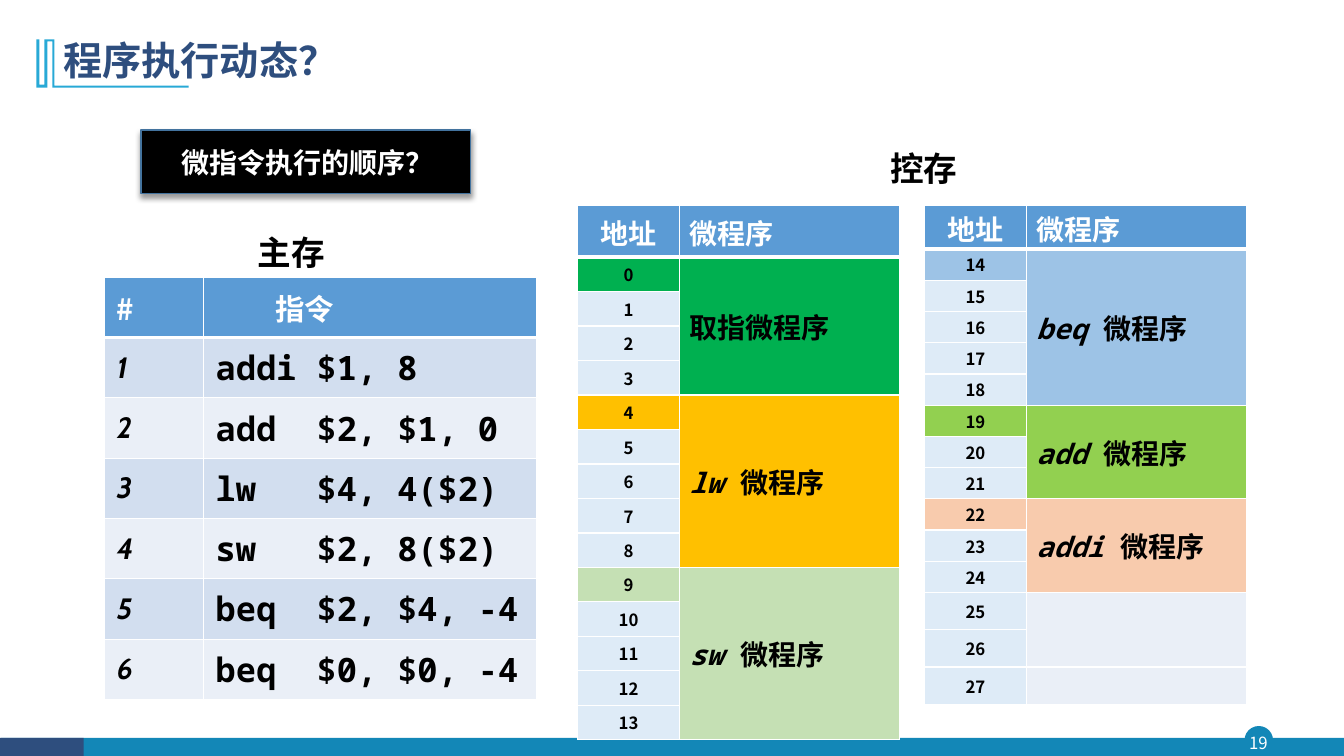
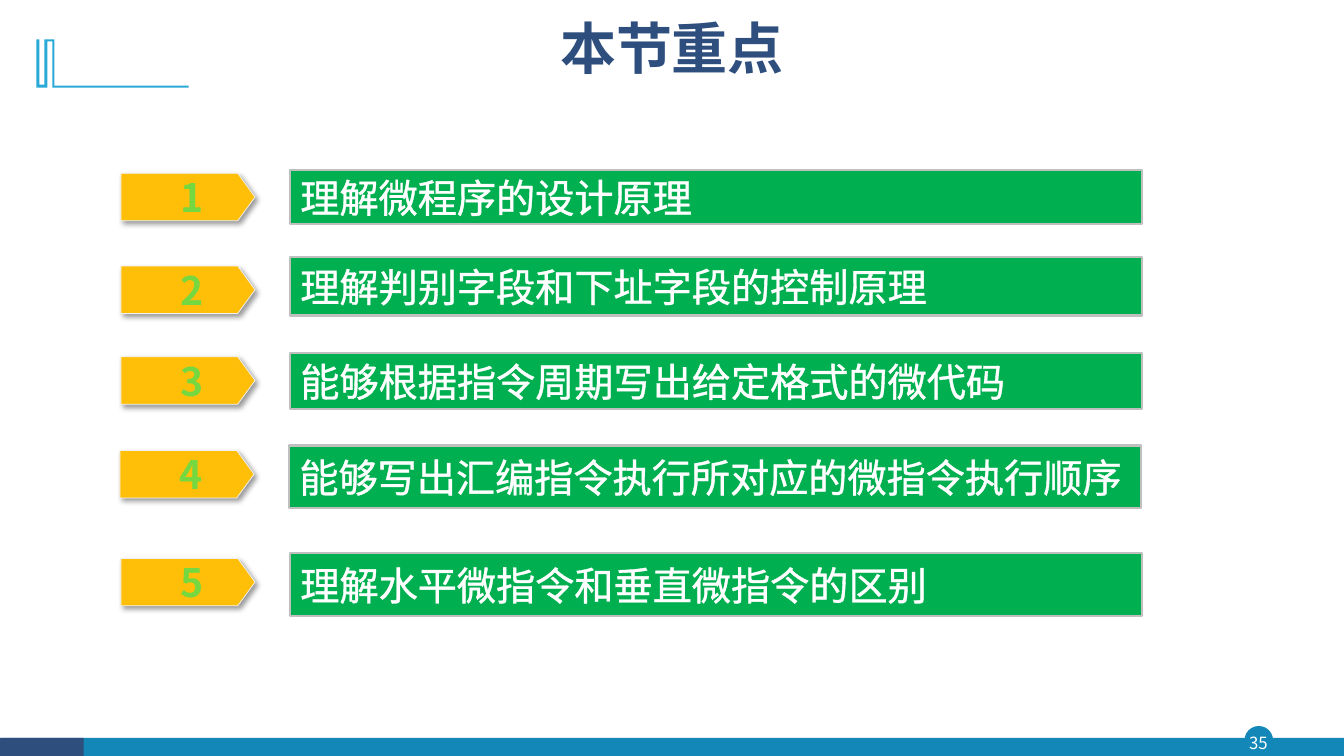
from lxml import etree
from pptx import Presentation
from pptx.dml.color import RGBColor
from pptx.enum import shapes, text
from pptx.oxml import ns, parse_xml
from pptx.util import Inches, Pt


class Theme:
    navy, teal, cyan = "2E4E7E", "1387B7", "28A9D6"
    white, black = "FFFFFF", "000000"
    header, address = "5B9BD5", "DEEBF7"
    bands = ("D2DEEF", "EAEFF7")
    green, amber, pill_edge, bar_edge = "00B050", "FFBF09", "F2F2F2", "BFBFBF"
    callout_edge = "43739E"
    number_stops = ((0, "336F0A"), (78, "75D840"), (100, "F2FBEE"))
    sans, mono, digits = "Noto Sans CJK SC", "Noto Sans Mono", "Cabin"
    small, body, index, label, title, big_title = 12, 20, 21, 24, 28, 40


INSTRUCTIONS = [
    "addi $1, 8",
    "add  $2, $1, 0",
    "lw   $4, 4($2)",
    "sw   $2, 8($2)",
    "beq  $2, $4, -4",
    "beq  $0, $0, -4",
]

# Each block: mnemonic, caption, number of addresses, colour
LEFT_STORE = dict(
    left=5.73, first=0, header=0.51, rows=[(5.3 - 0.51) / 14] * 14,
    blocks=[
        ("", "取指微程序", 4, "00B050"),
        ("lw ", "微程序", 5, "FFC000"),
        ("sw ", "微程序", 5, "C5E0B4"),
    ])
RIGHT_STORE = dict(
    left=9.17, first=14, header=0.43, rows=[0.31] * 11 + [0.37] * 3,
    blocks=[
        ("beq ", "微程序", 5, "9DC3E6"),
        ("add ", "微程序", 3, "92D050"),
        ("addi ", "微程序", 3, "F8CBAD"),
        ("", "", 2, None),
        ("", "", 1, None),
    ])

# Each key point: text, pill left and top, bar left, top and height
KEY_POINTS = [
    ("理解微程序的设计原理", 1.2, 1.72, 2.88, 1.69, 0.53),
    ("理解判别字段和下址字段的控制原理", 1.2, 2.64, 2.88, 2.55, 0.58),
    ("能够根据指令周期写出给定格式的微代码", 1.2, 3.54, 2.88, 3.5, 0.56),
    ("能够写出汇编指令执行所对应的微指令执行顺序", 1.19, 4.47, 2.87, 4.42, 0.62),
    ("理解水平微指令和垂直微指令的区别", 1.2, 5.54, 2.88, 5.49, 0.62),
]

ACCENT = [
    (0.54, 0.39), (0.54, 0.85), (1.87, 0.85), (1.87, 0.87), (0.52, 0.87),
    (0.52, 0.41), (0.47, 0.41), (0.47, 0.87), (0.36, 0.87), (0.36, 0.39),
    (0.39, 0.39), (0.39, 0.84), (0.44, 0.84), (0.44, 0.39),
]

ALIGN = {"left": text.PP_ALIGN.LEFT, "center": text.PP_ALIGN.CENTER}
ANCHOR = {"top": text.MSO_ANCHOR.TOP, "middle": text.MSO_ANCHOR.MIDDLE}


def rgb(value):
    return RGBColor.from_string(value)


def xml(tag, body):
    return parse_xml(f"<a:{tag} {ns.nsdecls('a')}{body}")


def solid(value):
    return f'<a:solidFill><a:srgbClr val="{value}"/></a:solidFill>'


def write(frame, words, size=Theme.body, color=Theme.black, font=Theme.sans,
          bold=False, italic=False, align="left", spacing=None):
    """Append a formatted run to the first paragraph of a text frame."""
    para = frame.paragraphs[0]
    para.alignment = ALIGN[align]
    if spacing:
        para.line_spacing = spacing
    span = para.add_run()
    span.text = words
    span.font.size = Pt(size)
    span.font.bold, span.font.italic = bold, italic
    if color:
        span.font.fill.solid()
        span.font.fill.fore_color.rgb = rgb(color)
    span.font.name = font
    etree.SubElement(span.font._element, ns.qn("a:ea")).set("typeface", font)
    return span


def set_insets(holder, left=0.1, top=0.05, right=0.1, bottom=0.05):
    holder.margin_left, holder.margin_top = Inches(left), Inches(top)
    holder.margin_right, holder.margin_bottom = Inches(right), Inches(bottom)


def add_label(page, words, at, anchor="top", wrap=True, **style):
    box = page.shapes.add_textbox(*map(Inches, at))
    frame = box.text_frame
    frame.word_wrap = wrap
    frame.vertical_anchor = ANCHOR[anchor]
    write(frame, words, **style)
    return box


def paint(shape, fill, line=None, width=1):
    shape.shadow.inherit = False
    shape.fill.solid()
    shape.fill.fore_color.rgb = rgb(fill)
    if line:
        shape.line.color.rgb = rgb(line)
        shape.line.width = Pt(width)
    else:
        shape.line.fill.background()
    return shape


def add_panel(page, kind, at, fill, line=None, width=1):
    shape = page.shapes.add_shape(kind, *map(Inches, at))
    return paint(shape, fill, line, width)


def cast_shadow(shape, angle):
    effects = shape._element.spPr.find(ns.qn("a:effectLst"))
    effects.append(xml(
        "outerShdw",
        f' blurRad="{Pt(4)}" dist="{Pt(3)}" dir="{angle * 60000}" algn="tl"'
        f' rotWithShape="0"><a:srgbClr val="{Theme.black}">'
        '<a:alpha val="40000"/></a:srgbClr></a:outerShdw>'))


def add_page(deck, number, title, at, size, align):
    page = deck.slides.add_slide(deck.slide_layouts[6])
    kinds = shapes.MSO_SHAPE
    add_panel(page, kinds.OVAL, (12.35, 7.21, 0.27, 0.27), Theme.teal, Theme.teal)
    add_panel(page, kinds.RECTANGLE, (0.01, 7.32, 13.32, 0.19), Theme.teal)
    add_panel(page, kinds.RECTANGLE, (0, 7.32, 0.83, 0.19), Theme.navy)
    badge = add_label(page, str(number), (12.32, 7.21, 0.32, 0.31), "middle",
                      size=Theme.small, color=Theme.white, align="center")
    set_insets(badge.text_frame, 0, 0, 0, 0)
    points = [(Inches(x), Inches(y)) for x, y in ACCENT]
    outline = page.shapes.build_freeform(*points[0])
    outline.add_line_segments(points[1:], close=True)
    paint(outline.convert_to_shape(), Theme.cyan)
    add_label(page, title, at, "middle", size=size, color=Theme.navy,
              bold=True, align=align, spacing=0.9)
    return page


def add_grid(page, left, top, widths, heights):
    size = (left, top, sum(widths), sum(heights))
    table = page.shapes.add_table(
        len(heights), len(widths), *map(Inches, size)).table
    table.first_row = table.horz_banding = False
    for column, width in zip(table.columns, widths):
        column.width = Inches(width)
    for row, height in zip(table.rows, heights):
        row.height = Inches(height)
    return table


def style_cell(cell, fill, heavy_bottom=False, anchor="middle"):
    """Give a cell white borders, then its fill."""
    properties = cell._tc.get_or_add_tcPr()
    for side in "LRTB":
        width = Pt(3 if heavy_bottom and side == "B" else 1)
        properties.append(xml(
            f"ln{side}", f' w="{width}">{solid(Theme.white)}</a:ln{side}>'))
    cell.fill.solid()
    cell.fill.fore_color.rgb = rgb(fill)
    cell.vertical_anchor = ANCHOR[anchor]


def add_main_memory(page):
    table = add_grid(page, 1.04, 2.75, (0.98, 3.3),
                     [4.19 / 7] * (len(INSTRUCTIONS) + 1))
    for column, (words, inset) in enumerate((("#", 0.12), ("指令", 0.71))):
        cell = table.cell(0, column)
        style_cell(cell, Theme.header, heavy_bottom=True)
        set_insets(cell, inset, 0.06, 0.12, 0.06)
        write(cell.text_frame, words, size=Theme.index, color=Theme.white, bold=True)
    for row, code in enumerate(INSTRUCTIONS, 1):
        cells = table.cell(row, 0), table.cell(row, 1)
        for cell in cells:
            style_cell(cell, Theme.bands[(row - 1) % 2])
            set_insets(cell, 0.12, 0.06, 0.12, 0.06)
        write(cells[0].text_frame, str(row), size=Theme.index,
              font=Theme.digits, bold=True, italic=True)
        write(cells[1].text_frame, code, size=Theme.label,
              font=Theme.mono, bold=True)


def add_control_store(page, left, first, header, rows, blocks):
    table = add_grid(page, left, 2.04, (1.01, 2.18), [header] + rows)
    for column, (words, align) in enumerate(
            (("地址", "center"), ("微程序", "left"))):
        cell = table.cell(0, column)
        style_cell(cell, Theme.header, heavy_bottom=True)
        set_insets(cell, top=0.02, bottom=0)
        write(cell.text_frame, words, color=Theme.white, bold=True, align=align)
    row = 1
    for mnemonic, caption, count, color in blocks:
        for offset in range(count):
            address, body = table.cell(row + offset, 0), table.cell(row + offset, 1)
            marked = color and offset == 0
            style_cell(address, color if marked else Theme.address)
            style_cell(body, color or Theme.bands[1])
            set_insets(address, top=0, bottom=0)
            set_insets(body, top=0, bottom=0)
            write(address.text_frame, str(first + row + offset - 1),
                  size=Theme.small, bold=True, align="center")
        block = table.cell(row, 1)
        if count > 1:
            block.merge(table.cell(row + count - 1, 1))
        if mnemonic:
            write(block.text_frame, mnemonic, font=Theme.mono, bold=True, italic=True)
        if caption:
            write(block.text_frame, caption, bold=True)
        row += count


def build_execution(deck):
    page = add_page(deck, 19, "程序执行动态？", (0.53, 0.28, 3.05, 0.68),
                    Theme.title, "left")
    add_control_store(page, **LEFT_STORE)
    add_main_memory(page)
    callout = add_panel(page, shapes.MSO_SHAPE.RECTANGLE, (1.4, 1.29, 3.27, 0.63),
                        Theme.black, Theme.callout_edge)
    cast_shadow(callout, 90)
    add_label(page, "微指令执行的顺序？", (1.5, 1.39, 3.1, 0.44),
              color=Theme.white, bold=True, align="center")
    for words, left, top in (("主存", 2.46, 2.25), ("控存", 8.73, 1.42)):
        add_label(page, words, (left, top, 0.88, 0.5), wrap=False,
                  size=Theme.label, bold=True)
    add_control_store(page, **RIGHT_STORE)


def add_pill(page, number, left, top):
    pill = add_panel(page, shapes.MSO_SHAPE.PENTAGON, (left, top, 1.33, 0.47),
                     Theme.amber, Theme.pill_edge, 0.5)
    pill.adjustments[0] = 0.365
    cast_shadow(pill, 45)
    frame = pill.text_frame
    set_insets(frame, 0.17, 0, 0, 0)
    frame.vertical_anchor = ANCHOR["middle"]
    span = write(frame, str(number), size=Theme.title, color=None,
                 bold=True, align="center")
    stops = "".join(
        f'<a:gs pos="{position * 1000}"><a:srgbClr val="{value}"/></a:gs>'
        for position, value in Theme.number_stops)
    span.font._element.insert(0, xml(
        "gradFill", f'><a:gsLst>{stops}</a:gsLst>'
        '<a:lin ang="5400000" scaled="0"/></a:gradFill>'))


def add_bar(page, words, left, top, height):
    bar = add_panel(page, shapes.MSO_SHAPE.RECTANGLE, (left, top, 8.45, height),
                    Theme.green, Theme.bar_edge, 1.5)
    frame = bar.text_frame
    frame.word_wrap = True
    frame.vertical_anchor = ANCHOR["middle"]
    span = write(frame, words, size=Theme.title, color=Theme.white)
    span.font._element.insert(0, xml(
        "ln", f' w="{Pt(0.75)}">{solid(Theme.white)}</a:ln>'))


def build_key_points(deck):
    page = add_page(deck, 35, "本节重点", (3.1, 0.09, 7.13, 0.83),
                    Theme.big_title, "center")
    for number, (words, pill_left, pill_top, *bar) in enumerate(KEY_POINTS, 1):
        add_pill(page, number, pill_left, pill_top)
        add_bar(page, words, *bar)


def main():
    deck = Presentation()
    deck.slide_width, deck.slide_height = Inches(13.33), Inches(7.5)
    build_execution(deck)
    build_key_points(deck)
    deck.save("out.pptx")


if __name__ == "__main__":
    main()
